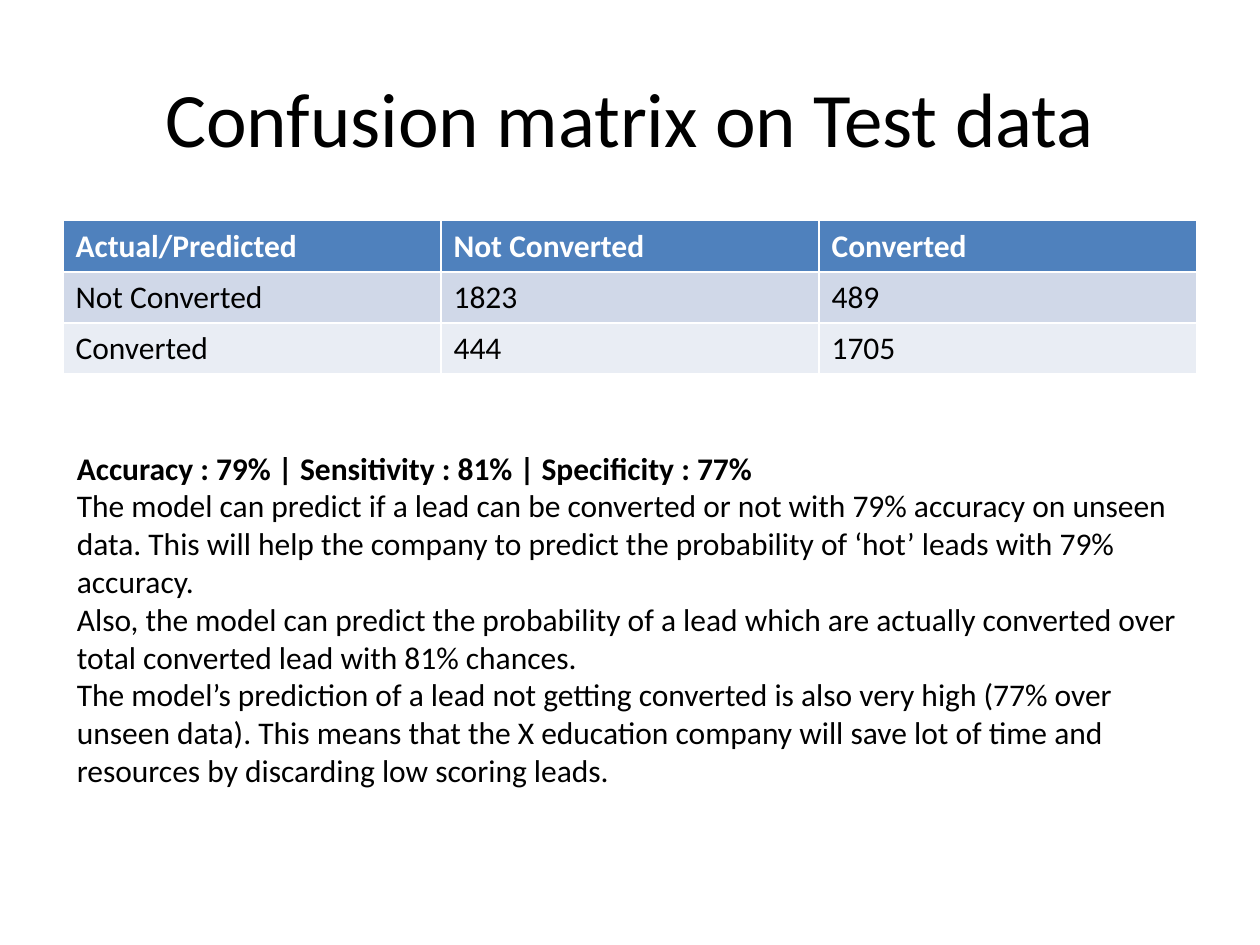
from pptx import Presentation
from pptx import util as u
from pptx.dml.color import RGBColor
from pptx.enum import text

TITLE = "Confusion matrix on Test data"
MATRIX = [
    ("Actual/Predicted", "Not Converted", "Converted"),
    ("Not Converted", "1823", "489"),
    ("Converted", "444", "1705"),
]
METRICS = "Accuracy : 79% | Sensitivity : 81% | Specificity : 77%"
FINDINGS = [
    "The model can predict if a lead can be converted or not with 79% accuracy on "
    "unseen data. This will help the company to predict the probability of ‘hot’ "
    "leads with 79% accuracy.",
    "Also, the model can predict the probability of a lead which are actually "
    "converted over total converted lead with 81% chances.",
    "The model’s prediction of a lead not getting converted is also very high (77% "
    "over unseen data). This means that the X education company will save lot of "
    "time and resources by discarding low scoring leads.",
]

BLACK = RGBColor(0x00, 0x00, 0x00)
WHITE = RGBColor(0xFF, 0xFF, 0xFF)
ROW_FILLS = [
    RGBColor(0x4F, 0x81, 0xBD),
    RGBColor(0xD0, 0xD8, 0xE8),
    RGBColor(0xE9, 0xED, 0xF4),
]
MARGIN, CONTENT_WIDTH, ROW_HEIGHT = u.Cm(1.27), u.Cm(22.86), u.Cm(1.03)


def write(para, content, size=18, color=BLACK, bold=False, align=text.PP_ALIGN.LEFT):
    para.alignment = align
    span = para.add_run()
    span.text = content
    span.font.name = "Calibri"
    span.font.size = u.Pt(size)
    span.font.bold = bold
    span.font.color.rgb = color


def add_title(page):
    box = page.shapes.title
    box.left, box.top = MARGIN, u.Cm(0.76)
    box.width, box.height = CONTENT_WIDTH, u.Cm(3.18)
    box.text_frame.vertical_anchor = text.MSO_ANCHOR.MIDDLE
    write(box.text_frame.paragraphs[0], TITLE, size=44, align=text.PP_ALIGN.CENTER)


def add_matrix(page):
    table = page.shapes.add_table(
        len(MATRIX), len(MATRIX[0]), MARGIN, u.Cm(4.45),
        CONTENT_WIDTH, ROW_HEIGHT * len(MATRIX),
    ).table
    for r, (values, fill) in enumerate(zip(MATRIX, ROW_FILLS)):
        header = r == 0
        for c, value in enumerate(values):
            cell = table.cell(r, c)
            cell.fill.solid()
            cell.fill.fore_color.rgb = fill
            write(cell.text_frame.paragraphs[0], value,
                  color=WHITE if header else BLACK, bold=header)


def add_findings(page):
    box = page.shapes.add_textbox(u.Cm(1.3), u.Cm(8.92), u.Cm(23), u.Cm(7.95))
    frame = box.text_frame
    frame.word_wrap = True
    frame.auto_size = text.MSO_AUTO_SIZE.SHAPE_TO_FIT_TEXT
    write(frame.paragraphs[0], METRICS, bold=True)
    for finding in FINDINGS:
        write(frame.add_paragraph(), finding)


def main():
    deck = Presentation()
    deck.slide_width, deck.slide_height = u.Cm(25.4), u.Cm(19.05)
    page = deck.slides.add_slide(deck.slide_layouts.get_by_name("Title Only"))
    add_title(page)
    add_matrix(page)
    add_findings(page)
    deck.save("out.pptx")


if __name__ == "__main__":
    main()
